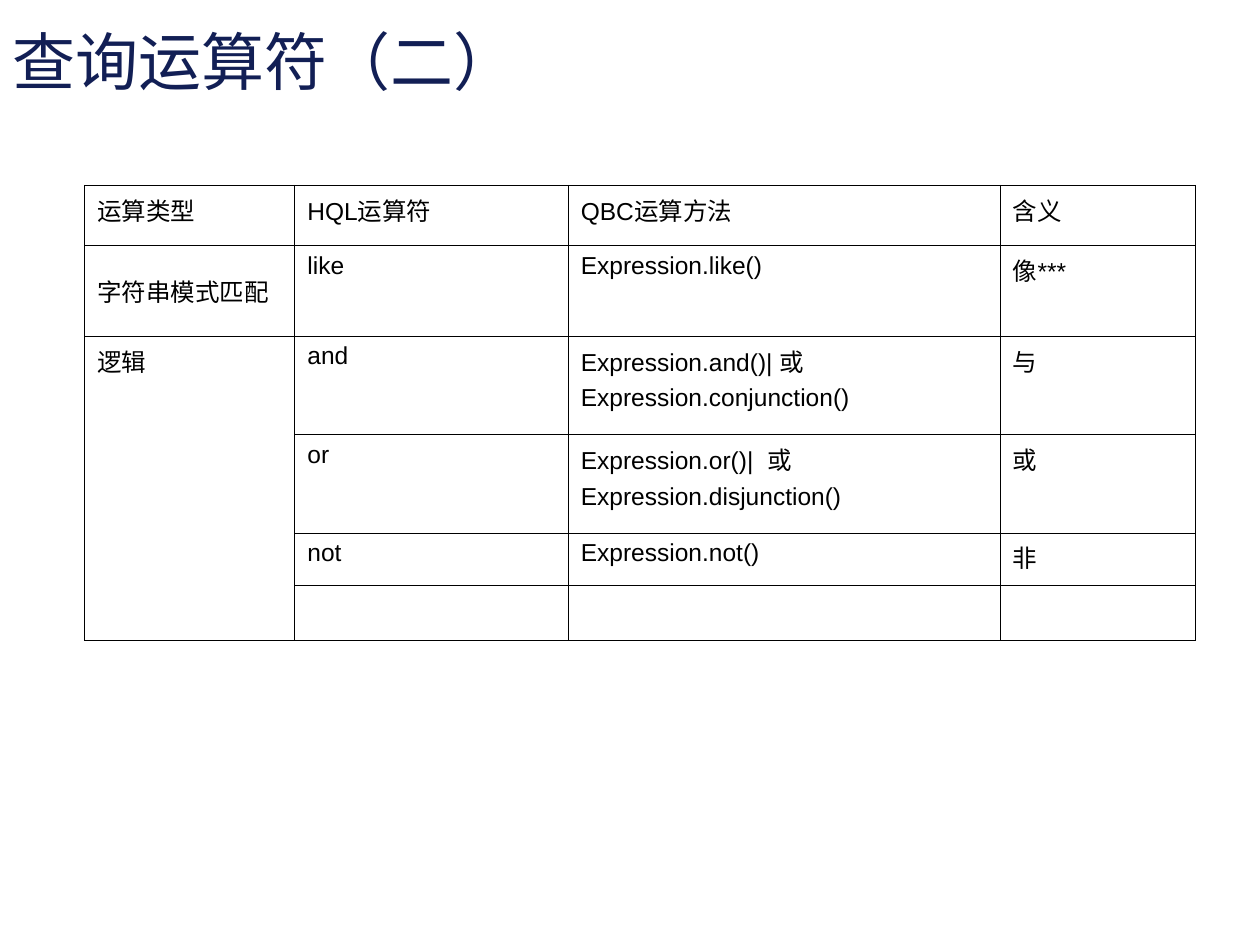
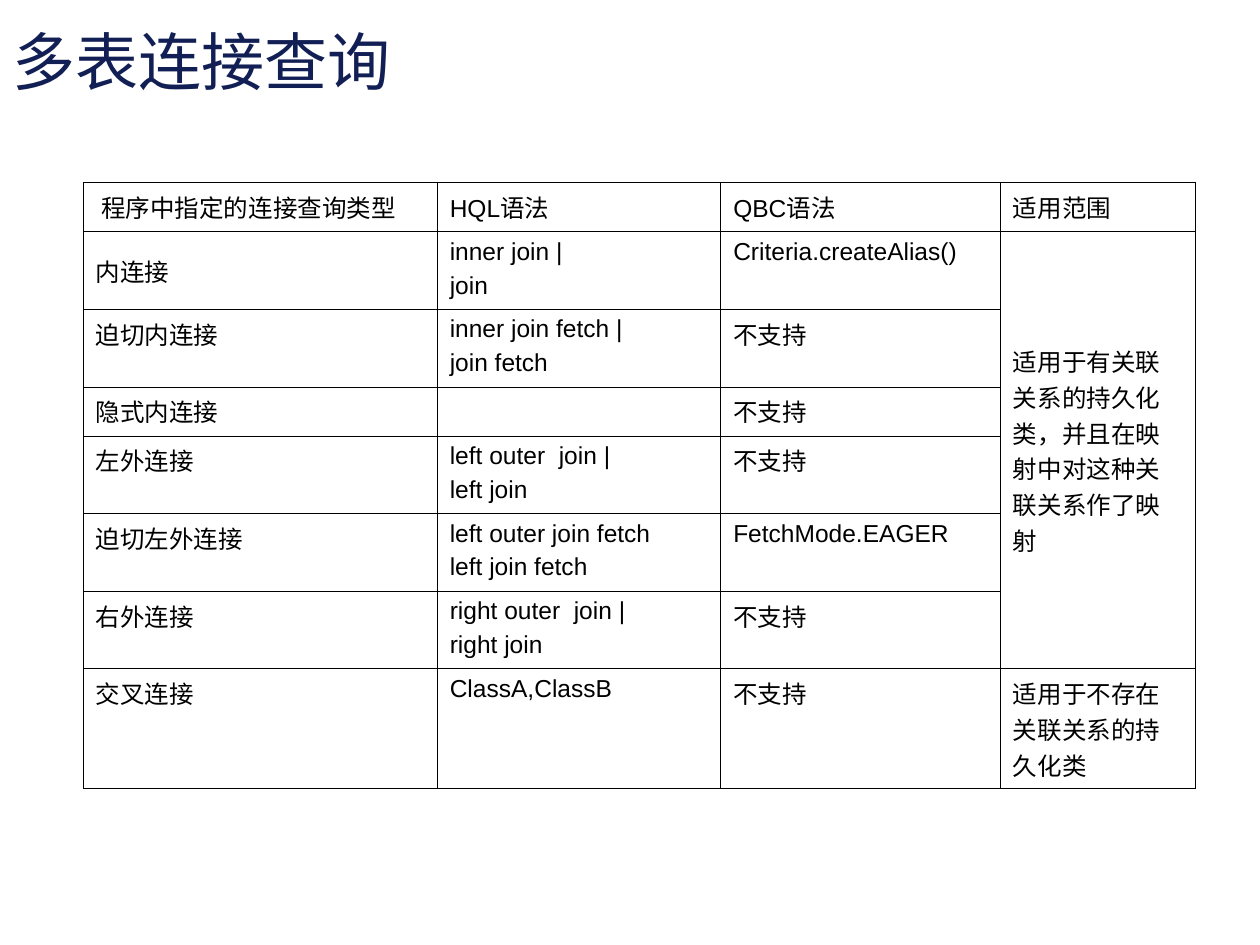
"""Build two slides of query operators and join syntax tables."""
from lxml import etree
from pptx import Presentation, util as u
from pptx.dml.color import RGBColor
from pptx.enum import text
from pptx.oxml import ns

NAVY = RGBColor(0x12, 0x1F, 0x55)
BLACK = RGBColor(0, 0, 0)
TITLE_FONT = {"name": "Arial", "size": u.Pt(36)}
CELL_FONT = {"name": "Arial", "size": u.Pt(14)}
CELL_MARGINS = {"margin_left": u.Inches(0.1), "margin_right": u.Inches(0.1),
                "margin_top": u.Inches(0.05), "margin_bottom": u.Inches(0.05)}
BORDER_WIDTH = u.Pt(0.45)
PARAGRAPH_GAP = u.Pt(3.5)
UNSUPPORTED = "不支持"

TOPICS = [
    {
        "title": "查询运算符（二）",
        "corner": (0.67, 1.47),
        "columns": [1.67, 2.17, 3.43, 1.55],
        "heights": [0.48, 0.72, 0.78, 0.78, 0.42, 0.43],
        "rows": [
            ("运算类型", "HQL运算符", "QBC运算方法", "含义"),
            ("字符串模式匹配", "like", "Expression.like()", "像***"),
            ("逻辑", "and", "Expression.and()| 或\nExpression.conjunction()", "与"),
            ("", "or", "Expression.or()|  或\nExpression.disjunction()", "或"),
            ("", "not", "Expression.not()", "非"),
            ("", "", "", ""),
        ],
        "merge": ((2, 0), (5, 0)),
        "centred": [(1, 0)],
    },
    {
        "title": "多表连接查询",
        "corner": (0.66, 1.45),
        "columns": [2.81, 2.25, 2.22, 1.55],
        "heights": [0.39, 0.59, 0.59, 0.39, 0.59, 0.59, 0.59, 0.95],
        "rows": [
            (" 程序中指定的连接查询类型", "HQL语法", "QBC语法", "适用范围"),
            ("内连接", "inner join |\njoin", "Criteria.createAlias()",
             "适用于有关联关系的持久化类，并且在映射中对这种关联关系作了映射"),
            ("迫切内连接", "inner join fetch |\njoin fetch", UNSUPPORTED, ""),
            ("隐式内连接", "", UNSUPPORTED, ""),
            ("左外连接", "left outer  join |\nleft join", UNSUPPORTED, ""),
            ("迫切左外连接", "left outer join fetch\nleft join fetch", "FetchMode.EAGER", ""),
            ("右外连接", "right outer  join |\nright join", UNSUPPORTED, ""),
            ("交叉连接", "ClassA,ClassB", UNSUPPORTED, "适用于不存在关联关系的持久化类"),
        ],
        "merge": ((1, 3), (6, 3)),
        "centred": [(1, 0), (1, 3)],
    },
]


def apply(target, values):
    for name, value in values.items():
        setattr(target, name, value)


def write(frame, words, font, colour):
    frame.text = words
    for index, paragraph in enumerate(frame.paragraphs):
        if index:
            paragraph.space_before = PARAGRAPH_GAP
        for run in paragraph.runs:
            apply(run.font, font)
            run.font.color.rgb = colour
        if not paragraph.runs:
            ending = paragraph._p.get_or_add_endParaRPr()
            ending.set("sz", str(int(font["size"].pt * 100)))


def add_borders(cell):
    properties = cell._tc.get_or_add_tcPr()
    for position, side in enumerate(("lnL", "lnR", "lnT", "lnB")):
        line = etree.Element(ns.qn(f"a:{side}"), w=str(BORDER_WIDTH))
        fill = etree.SubElement(line, ns.qn("a:solidFill"))
        etree.SubElement(fill, ns.qn("a:srgbClr"), val=str(BLACK))
        properties.insert(position, line)


def add_title(slide, words):
    title = slide.shapes.add_textbox(u.Inches(0), u.Inches(0.13), u.Inches(10), u.Inches(0.79))
    title.text_frame.word_wrap = True
    write(title.text_frame, words, TITLE_FONT, NAVY)


def add_grid(slide, topic):
    rows, columns, heights = topic["rows"], topic["columns"], topic["heights"]
    lengths = (*topic["corner"], sum(columns), sum(heights))
    grid = slide.shapes.add_table(len(rows), len(columns), *map(u.Inches, lengths)).table
    apply(grid, {"first_row": False, "horz_banding": False})
    for column, width in zip(grid.columns, columns):
        column.width = u.Inches(width)
    for row, height in zip(grid.rows, heights):
        row.height = u.Inches(height)
    for r, row in enumerate(rows):
        for c, words in enumerate(row):
            cell = grid.cell(r, c)
            apply(cell, CELL_MARGINS)
            write(cell.text_frame, words, CELL_FONT, BLACK)
            cell.fill.background()
            add_borders(cell)
    for place in topic["centred"]:
        grid.cell(*place).vertical_anchor = text.MSO_ANCHOR.MIDDLE
    first, last = topic["merge"]
    grid.cell(*first).merge(grid.cell(*last))


def main():
    deck = Presentation()
    apply(deck, {"slide_width": u.Inches(10), "slide_height": u.Inches(7.5)})
    for topic in TOPICS:
        slide = deck.slides.add_slide(deck.slide_layouts[6])
        add_title(slide, topic["title"])
        add_grid(slide, topic)
    deck.save("out.pptx")


if __name__ == "__main__":
    main()
